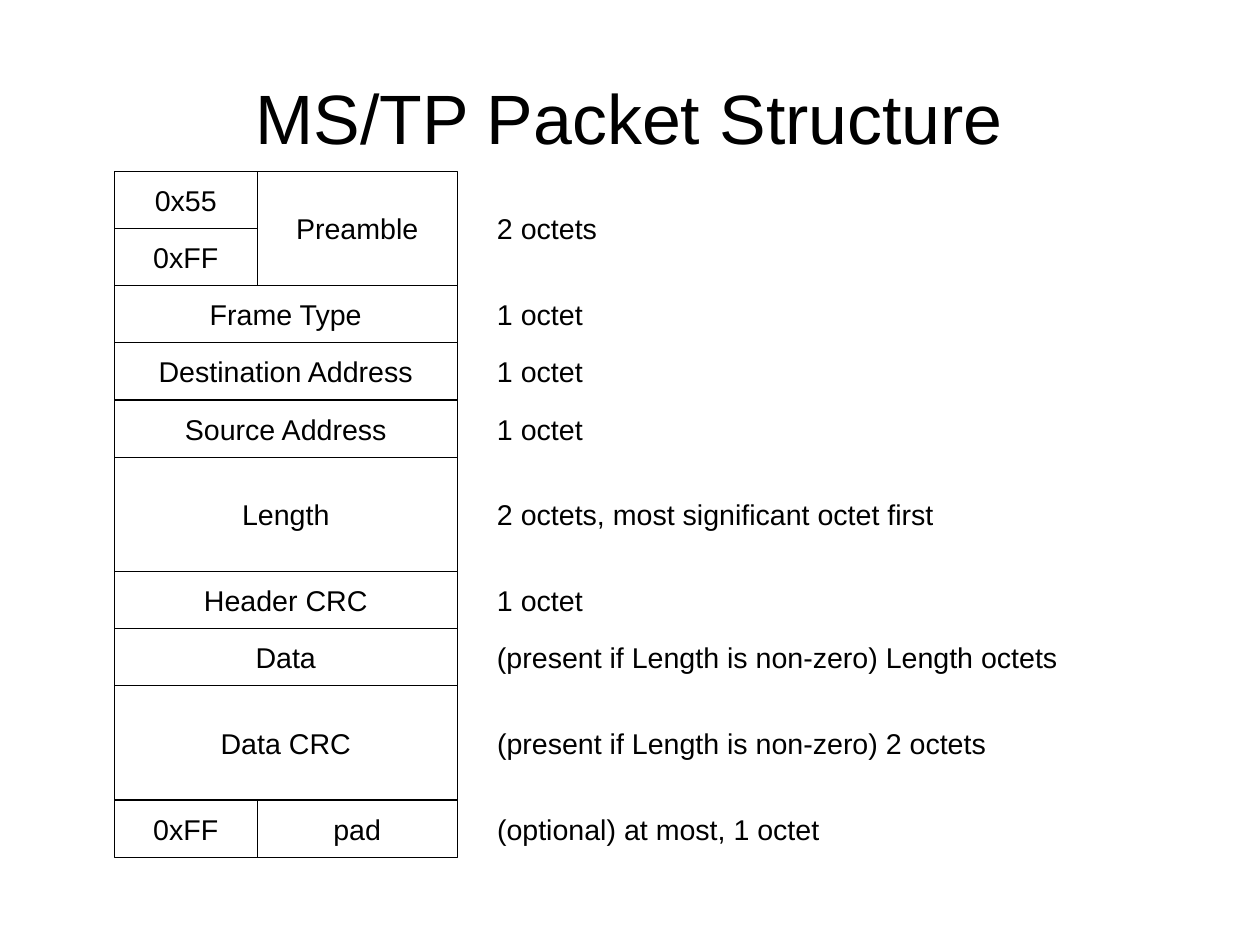
"""Build the MS/TP packet structure slide."""
from pptx import Presentation
from pptx.dml.color import RGBColor
from pptx.enum import shapes, text
from pptx.util import Inches, Pt

TITLE = "MS/TP Packet Structure"
FIELDS = [
    (["0x55", "0xFF"], "Preamble", 2, "2 octets", 1.5),
    ([], "Frame Type", 1, "1 octet", 1.5),
    ([], "Destination Address", 1, "1 octet", 1.5),
    ([], "Source Address", 1, "1 octet", 1.5),
    ([], "Length", 2, "2 octets, most significant octet first", 4.5),
    ([], "Header CRC", 1, "1 octet", 1.5),
    ([], "Data", 1, "(present if Length is non-zero) Length octets", 6),
    ([], "Data CRC", 2, "(present if Length is non-zero) 2 octets", 5.25),
    (["0xFF"], "pad", 1, "(optional) at most, 1 octet", 3.75),
]
PAGE = (28 / 2.54, 21 / 2.54)
LEFT, TOP, WIDE, CODE, ROW, NOTE = 1, 1.5, 3, 1.25, 0.5, 4.25
BLACK, WHITE = "000000", "FFFFFF"


def color(code):
    return RGBColor.from_string(code)


def write(shape, words, size, align):
    frame = shape.text_frame
    frame.text = words
    frame.word_wrap = True
    frame.auto_size = text.MSO_AUTO_SIZE.NONE
    frame.vertical_anchor = text.MSO_ANCHOR.MIDDLE
    line = frame.paragraphs[0]
    line.alignment = align
    font = line.runs[0].font
    font.name, font.size = "Arial", Pt(size)
    font.color.rgb = color(BLACK)


def add_box(slide, words, x, y, w, h):
    box = slide.shapes.add_shape(
        shapes.MSO_SHAPE.RECTANGLE, *map(Inches, (x, y, w, h)))
    box.shadow.inherit = False
    box.fill.solid()
    box.fill.fore_color.rgb = color(WHITE)
    box.line.color.rgb = color(BLACK)
    box.line.width = Pt(0)
    write(box, words, 18, text.PP_ALIGN.CENTER)


def add_note(slide, words, x, y, w, h):
    note = slide.shapes.add_textbox(*map(Inches, (x, y, w, h)))
    write(note, words, 18, text.PP_ALIGN.LEFT)


def add_title(slide):
    title = slide.shapes.title
    title.left, title.top = Inches(0.55), Inches(0.38)
    title.width, title.height = Inches(9.92), Inches(1.28)
    write(title, TITLE, 44, text.PP_ALIGN.CENTER)
    frame = title.text_frame
    frame.margin_left = frame.margin_right = 0
    frame.margin_top = frame.margin_bottom = 0


def main():
    deck = Presentation()
    deck.slide_width, deck.slide_height = map(Inches, PAGE)
    slide = deck.slides.add_slide(deck.slide_layouts[5])
    add_title(slide)
    y = TOP
    for codes, name, rows, size, width in FIELDS:
        high = rows * ROW
        for i, code in enumerate(codes):
            add_box(slide, code, LEFT, y + i * ROW, CODE, ROW)
        inset = CODE if codes else 0
        add_box(slide, name, LEFT + inset, y, WIDE - inset, high)
        add_note(slide, size, NOTE, y, width, high)
        y += high
    deck.save("out.pptx")


if __name__ == "__main__":
    main()
